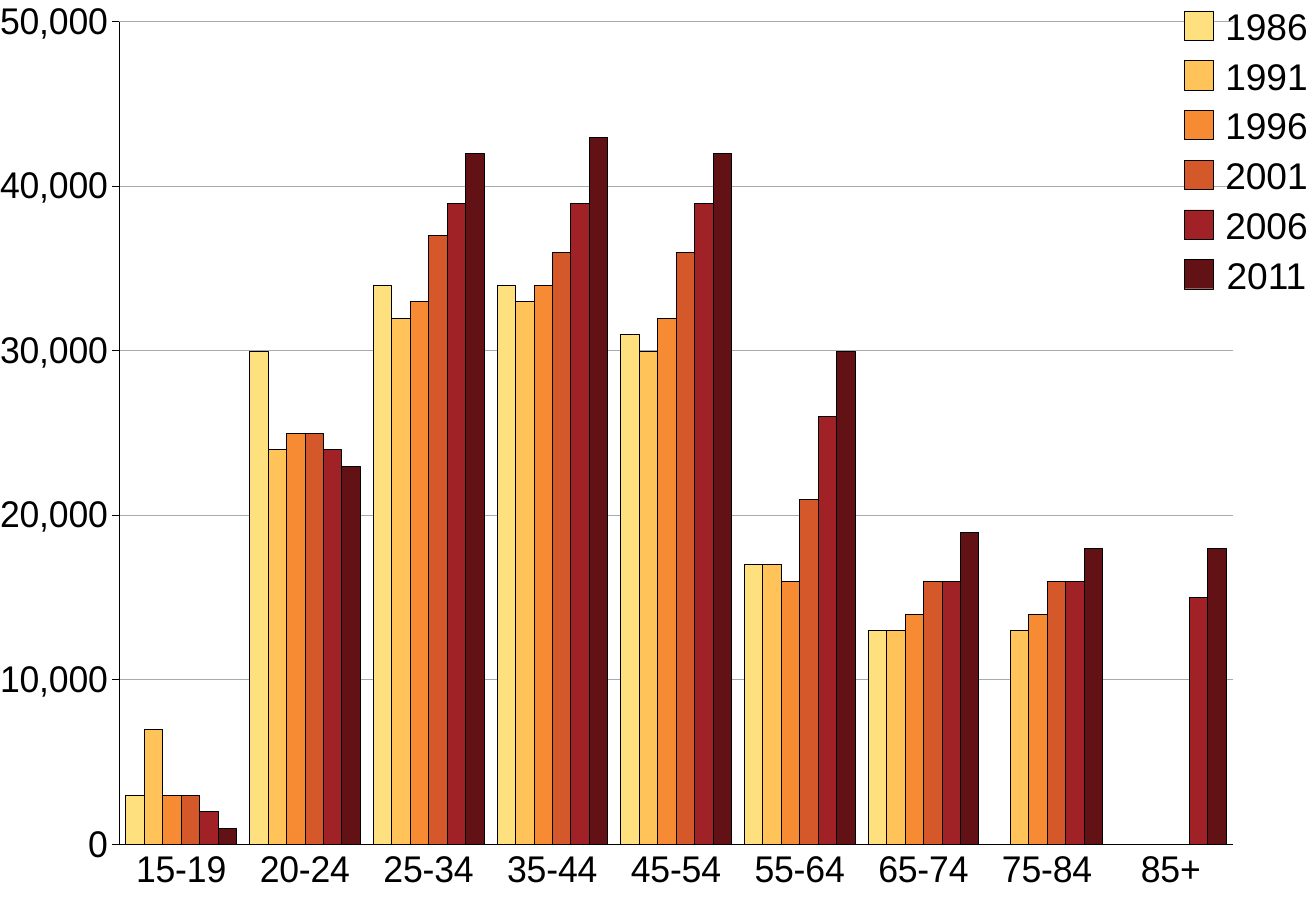
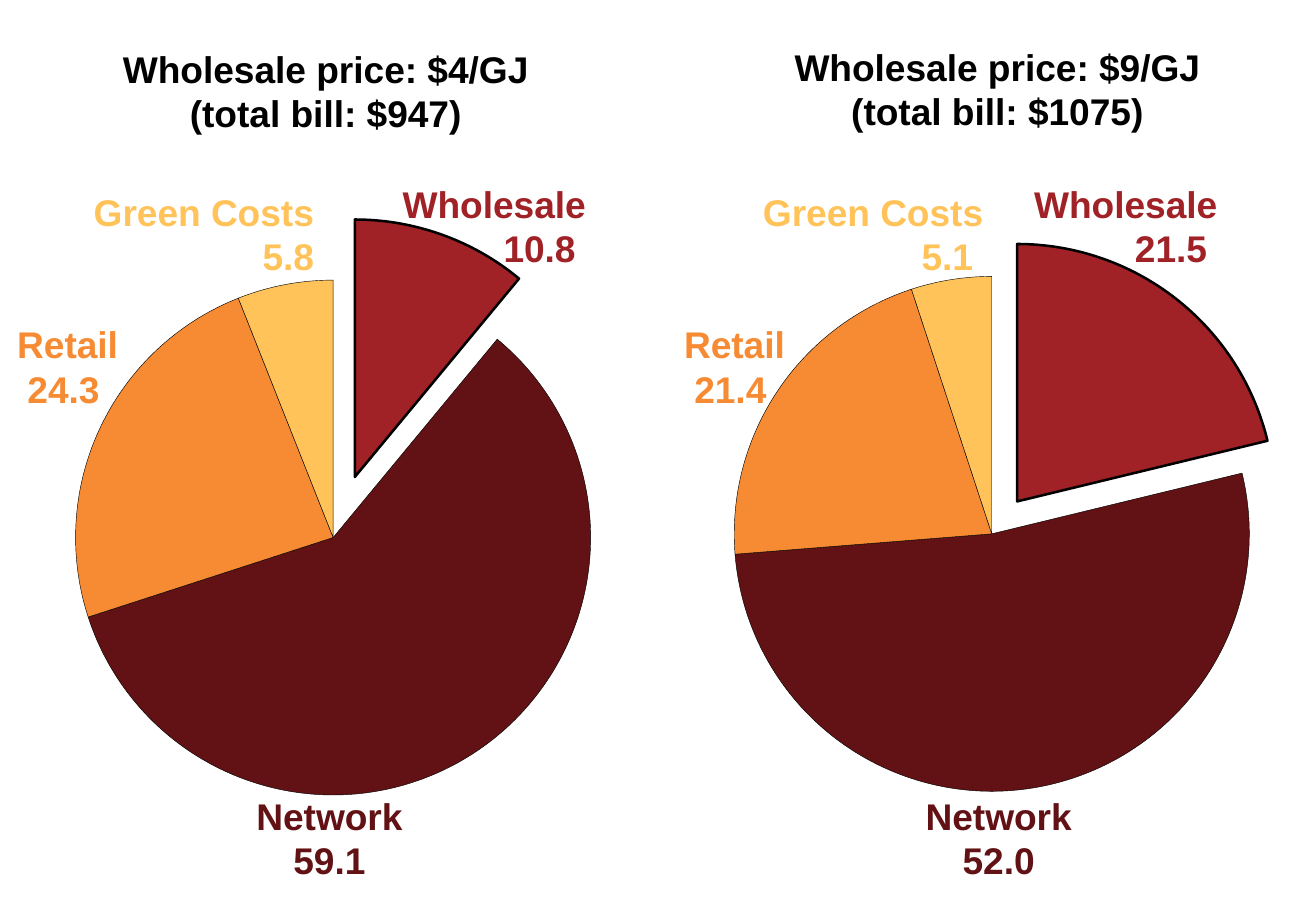
import pptx
import pptx.chart.data
import pptx.dml.color
import pptx.enum.chart
import pptx.enum.shapes
import pptx.enum.text
import pptx.oxml.ns
import pptx.util
from lxml import etree

Cm = pptx.util.Cm
Pt = pptx.util.Pt
qn = pptx.oxml.ns.qn
CHART = pptx.enum.chart.XL_CHART_TYPE
TICK = pptx.enum.chart.XL_TICK_MARK
LEFT, MID, RIGHT = (pptx.enum.text.PP_ALIGN.LEFT,
                    pptx.enum.text.PP_ALIGN.CENTER,
                    pptx.enum.text.PP_ALIGN.RIGHT)

FONT = "Arial"
SIZE = 22
COLOR = {
    "black": "000000", "grid": "A4ABB1", "cream": "FFE07F", "gold": "FFC35A",
    "orange": "F68B33", "rust": "D4582A", "red": "A02226", "maroon": "621214",
}

AGES = ["15-19", "20-24", "25-34", "35-44", "45-54",
        "55-64", "65-74", "75-84", "85+"]
YEARS = [
    ("1986", "cream", [3000, 30000, 34000, 34000, 31000, 17000, 13000, 0, 0]),
    ("1991", "gold", [7000, 24000, 32000, 33000, 30000, 17000, 13000, 13000, 0]),
    ("1996", "orange", [3000, 25000, 33000, 34000, 32000, 16000, 14000, 14000, 0]),
    ("2001", "rust", [3000, 25000, 37000, 36000, 36000, 21000, 16000, 16000, 0]),
    ("2006", "red", [2000, 24000, 39000, 39000, 39000, 26000, 16000, 16000, 15000]),
    ("2011", "maroon", [1000, 23000, 42000, 43000, 42000, 30000, 19000, 18000, 18000]),
]

SLICES = ["red", "maroon", "orange", "gold"]
# Name, colour, top, width, alignment of the name and of the share
PARTS = [
    ("Green Costs", "gold", 3.96, 4.67, LEFT, RIGHT),
    ("Retail", "orange", 6.73, 2.13, LEFT, LEFT),
    ("Network", "maroon", 16.59, 3.1, LEFT, MID),
    ("Wholesale", "red", 3.79, 3.89, RIGHT, RIGHT),
]
BILLS = [
    {"left": 13.56, "plot": (0.125, 0.31, 0.777, 0.56), "burst": 16,
     "vals": [21, 52, 21, 5],
     "title": ("Wholesale price: $9/GJ", "(total bill: $1075)"),
     "box": (16.61, 0.92, 9.37),
     "shares": ["5.1 ", " 21.4", "52.0", "21.5 "],
     "lefts": [15.95, 14.3, 19.35, 21.56]},
    {"left": 0, "plot": (0.11, 0.314, 0.777, 0.56), "burst": 25,
     "vals": [11, 59, 24, 6],
     "title": ("Wholesale price: $4/GJ", "(total bill: $947)"),
     "box": (2.57, 0.97, 9.14),
     "shares": ["5.8", " 24.3", "59.1", "10.8 "],
     "lefts": [1.96, 0.36, 5.36, 8.36]},
]


def rgb(name):
    return pptx.dml.color.RGBColor.from_string(COLOR[name])


def fill(item, name):
    item.fill.solid()
    item.fill.fore_color.rgb = rgb(name)


def rule(line, width, name="black"):
    line.color.rgb = rgb(name)
    line.width = Pt(width)


def label(slide, left, top, width, lines, color="black", bold=False):
    """Add a text box; lines holds (text, alignment) pairs."""
    box = slide.shapes.add_textbox(
        Cm(left), Cm(top), Cm(width), Cm(0.94 * len(lines)))
    frame = box.text_frame
    frame.word_wrap = False
    frame.auto_size = pptx.enum.text.MSO_AUTO_SIZE.SHAPE_TO_FIT_TEXT
    frame.margin_left = frame.margin_right = 0
    frame.margin_top = frame.margin_bottom = 0
    for i, (text, align) in enumerate(lines):
        para = frame.add_paragraph() if i else frame.paragraphs[0]
        para.alignment = align
        run = para.add_run()
        run.text = text
        run.font.name = FONT
        run.font.size = Pt(SIZE)
        run.font.bold = bold
        run.font.color.rgb = rgb(color)


def place(chart, plot):
    """Fix the inner plot area at fractions of the chart frame."""
    area = chart._chartSpace.find(".//" + qn("c:plotArea"))
    for old in area.findall(qn("c:layout")):
        area.remove(old)
    layout = etree.Element(qn("c:layout"))
    area.insert(0, layout)
    manual = etree.SubElement(layout, qn("c:manualLayout"))
    pairs = [("layoutTarget", "inner"), ("xMode", "edge"), ("yMode", "edge")]
    for tag, val in pairs + list(zip("xywh", plot)):
        etree.SubElement(manual, qn("c:" + tag)).set("val", str(val))


def graph(slide, kind, box, cats, rows, plot):
    """Add a bare chart; rows holds (name, values) pairs."""
    data = pptx.chart.data.CategoryChartData()
    data.categories = cats
    for name, vals in rows:
        data.add_series(name, vals)
    chart = slide.shapes.add_chart(kind, *map(Cm, box), data).chart
    chart.has_title = False
    chart.has_legend = False
    chart.font.name = FONT
    chart.font.size = Pt(18)
    chart.font.color.rgb = rgb("black")
    place(chart, plot)
    return chart


def bars(slide):
    chart = graph(slide, CHART.COLUMN_CLUSTERED, (0, 0, 27.51, 19.05), AGES,
                  [(year, vals) for year, _, vals in YEARS],
                  (0.052, 0.024, 0.882, 0.903))
    plot = chart.plots[0]
    plot.vary_by_categories = False
    plot.gap_width = 70
    plot.overlap = 0
    for row, (_, color, _) in zip(plot.series, YEARS):
        fill(row.format, color)
        rule(row.format.line, 0.25)
    for axis, tick in ((chart.category_axis, TICK.NONE),
                       (chart.value_axis, TICK.OUTSIDE)):
        axis.major_tick_mark = tick
        axis.minor_tick_mark = TICK.NONE
        axis.tick_labels.font.size = Pt(SIZE)
        rule(axis.format.line, 0.75)
    axis = chart.value_axis
    axis.minimum_scale, axis.maximum_scale = 0, 50000
    axis.major_unit = 10000
    axis.tick_labels.number_format = "#,##0"
    axis.tick_labels.number_format_is_linked = False
    rule(axis.major_gridlines.format.line, 0.75, "grid")


def legend(slide):
    for i, (year, color, _) in enumerate(YEARS):
        drop = 1.04 * i
        label(slide, 25.6, 0.07 + drop, 1.75, [(year, MID)])
        key = slide.shapes.add_shape(
            pptx.enum.shapes.MSO_SHAPE.RECTANGLE,
            Cm(24.76), Cm(0.23 + drop), Cm(0.61), Cm(0.61))
        key.shadow.inherit = False
        fill(key, color)
        rule(key.line, 0.25)


def pie(slide, bill):
    chart = graph(slide, CHART.PIE, (bill["left"], -0.18, 13.97, 19.23),
                  ["1", "2", "3", "4"], [("Share", bill["vals"])],
                  bill["plot"])
    chart.plots[0].vary_by_categories = True
    row = chart.plots[0].series[0]
    for i, color in enumerate(SLICES):
        style = row.points[i].format
        fill(style, color)
        rule(style.line, 0.25 if i else 1.5)
    first = row._element.find(qn("c:dPt"))
    burst = etree.Element(qn("c:explosion"))
    burst.set("val", str(bill["burst"]))
    first.find(qn("c:spPr")).addprevious(burst)


def notes(slide, bill):
    """Add the heading and the slice labels of one pie."""
    label(slide, *bill["box"], list(zip(bill["title"], (LEFT, MID))),
          bold=True)
    for part, share, left in zip(PARTS, bill["shares"], bill["lefts"]):
        name, color, top, width, head, tail = part
        label(slide, left, top, width, [(name, head), (share, tail)],
              color, True)


def main():
    deck = pptx.Presentation()
    deck.slide_width, deck.slide_height = Cm(27.51), Cm(19.05)
    blank = deck.slide_layouts[6]

    slide = deck.slides.add_slide(blank)
    bars(slide)
    legend(slide)

    slide = deck.slides.add_slide(blank)
    for draw in (pie, notes):
        for bill in BILLS:
            draw(slide, bill)

    deck.save("out.pptx")


if __name__ == "__main__":
    main()
